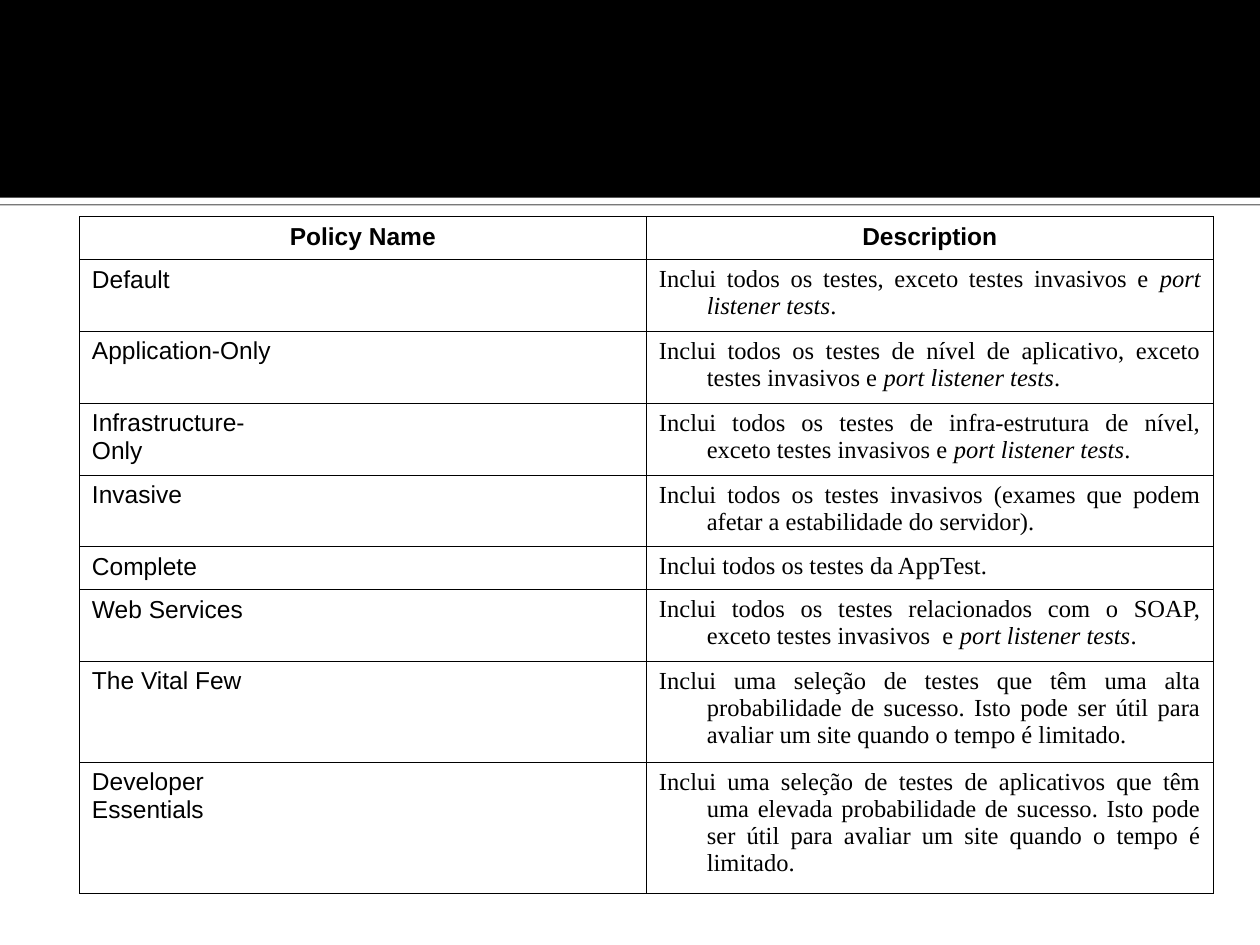
from lxml import etree
from pptx import Presentation
from pptx.dml.color import RGBColor
from pptx.enum.shapes import MSO_SHAPE
from pptx.enum.text import PP_ALIGN
from pptx.oxml.ns import qn
from pptx.util import Inches, Pt

RECTANGLE = MSO_SHAPE.RECTANGLE
CENTER, JUSTIFY = PP_ALIGN.CENTER, PP_ALIGN.JUSTIFY
BLACK = RGBColor(0x00, 0x00, 0x00)
WHITE = RGBColor(0xFF, 0xFF, 0xFF)
SANS, SERIF = "Arial", "Times New Roman"

HEADINGS = ("Policy Name", "Description")
PORT_TESTS = "port listener tests"  # set in italics wherever it occurs

# Policy name (one entry per line), description, row height
POLICIES = [
    (["Default"],
     "Inclui todos os testes, exceto testes invasivos e port listener tests.", 0.57),
    (["Application-Only"],
     "Inclui todos os testes de nível de aplicativo, exceto testes invasivos e "
     "port listener tests.", 0.57),
    (["Infrastructure-", "Only"],
     "Inclui todos os testes de infra-estrutura de nível, exceto testes invasivos e "
     "port listener tests.", 0.57),
    (["Invasive"],
     "Inclui todos os testes invasivos (exames que podem afetar a estabilidade do "
     "servidor).", 0.57),
    (["Complete"], "Inclui todos os testes da AppTest.", 0.34),
    (["Web Services"],
     "Inclui todos os testes relacionados com o SOAP, exceto testes invasivos  e "
     "port listener tests.", 0.57),
    (["The Vital Few"],
     "Inclui uma seleção de testes que têm uma alta probabilidade de sucesso. Isto "
     "pode ser útil para avaliar um site quando o tempo é limitado.", 0.8),
    (["Developer", "Essentials"],
     "Inclui uma seleção de testes de aplicativos que têm uma elevada probabilidade "
     "de sucesso. Isto pode ser útil para avaliar um site quando o tempo é "
     "limitado.", 1.04),
]
HEADING_HEIGHT = 0.34
COLUMN_WIDTH = 4.5
HEADER_HEIGHT, STRIP_HEIGHT = 1.57, 0.05
TABLE_LEFT, TABLE_TOP = 0.63, 1.72
HANGING_INDENT = Inches(0.38)
BORDER_WIDTH = Pt(0.45)


def add_band(page, top, height, color):
    band = page.shapes.add_shape(
        RECTANGLE, Inches(0), Inches(top), Inches(10), Inches(height))
    band.shadow.inherit = False
    band.fill.solid()
    band.fill.fore_color.rgb = color
    band.line.fill.background()
    return band


def add_drop_shadow(shape):
    effects = shape._element.spPr.find(qn("a:effectLst"))
    shadow = etree.SubElement(
        effects, qn("a:outerShdw"), blurRad="0", dist=str(Pt(0.8)),
        dir="5400000", algn="t", rotWithShape="0")
    color = etree.SubElement(shadow, qn("a:srgbClr"), val=str(BLACK))
    etree.SubElement(color, qn("a:alpha"), val="60000")


def set_borders(cell):
    properties = cell._tc.get_or_add_tcPr()
    for index, side in enumerate(("lnL", "lnR", "lnT", "lnB")):
        line = etree.Element(qn(f"a:{side}"), w=str(BORDER_WIDTH))
        fill = etree.SubElement(line, qn("a:solidFill"))
        etree.SubElement(fill, qn("a:srgbClr"), val=str(BLACK))
        properties.insert(index, line)


def split_italics(text):
    """Return (text, italic) pairs, with each mention of the port tests italic."""
    before, mention, after = text.partition(PORT_TESTS)
    return [(part, part == PORT_TESTS) for part in (before, mention, after) if part]


def fill_cell(cell, lines, font=SANS, bold=False, align=JUSTIFY):
    cell.fill.background()
    set_borders(cell)
    cell.margin_left = cell.margin_right = Inches(0.1)
    cell.margin_top = cell.margin_bottom = Inches(0.05)
    frame = cell.text_frame
    for index, line in enumerate(lines):
        para = frame.add_paragraph() if index else frame.paragraphs[0]
        para.alignment = align
        indents = para._p.get_or_add_pPr()
        indents.set("marL", str(HANGING_INDENT))
        indents.set("indent", str(-HANGING_INDENT))
        for text, italic in split_italics(line):
            span = para.add_run()
            span.text = text
            span.font.name = font
            span.font.size = Pt(14)
            span.font.bold = bold
            span.font.italic = italic
            span.font.color.rgb = BLACK


def add_policy_table(page):
    heights = [HEADING_HEIGHT] + [height for _, _, height in POLICIES]
    table = page.shapes.add_table(
        len(heights), len(HEADINGS), Inches(TABLE_LEFT), Inches(TABLE_TOP),
        Inches(COLUMN_WIDTH * len(HEADINGS)), Inches(sum(heights))).table
    table.first_row = table.horz_banding = False
    for column in table.columns:
        column.width = Inches(COLUMN_WIDTH)
    for row, height in zip(table.rows, heights):
        row.height = Inches(height)
    for index, heading in enumerate(HEADINGS):
        fill_cell(table.cell(0, index), [heading], bold=True, align=CENTER)
    for index, (name_lines, description, _) in enumerate(POLICIES, start=1):
        fill_cell(table.cell(index, 0), name_lines)
        fill_cell(table.cell(index, 1), [description], font=SERIF)


def main():
    deck = Presentation()
    deck.slide_width, deck.slide_height = Inches(10), Inches(7.5)
    page = deck.slides.add_slide(deck.slide_layouts[6])
    strip = add_band(page, HEADER_HEIGHT, STRIP_HEIGHT, WHITE)
    add_drop_shadow(strip)
    add_band(page, 0, HEADER_HEIGHT, BLACK)
    add_policy_table(page)
    deck.save("out.pptx")


if __name__ == "__main__":
    main()
